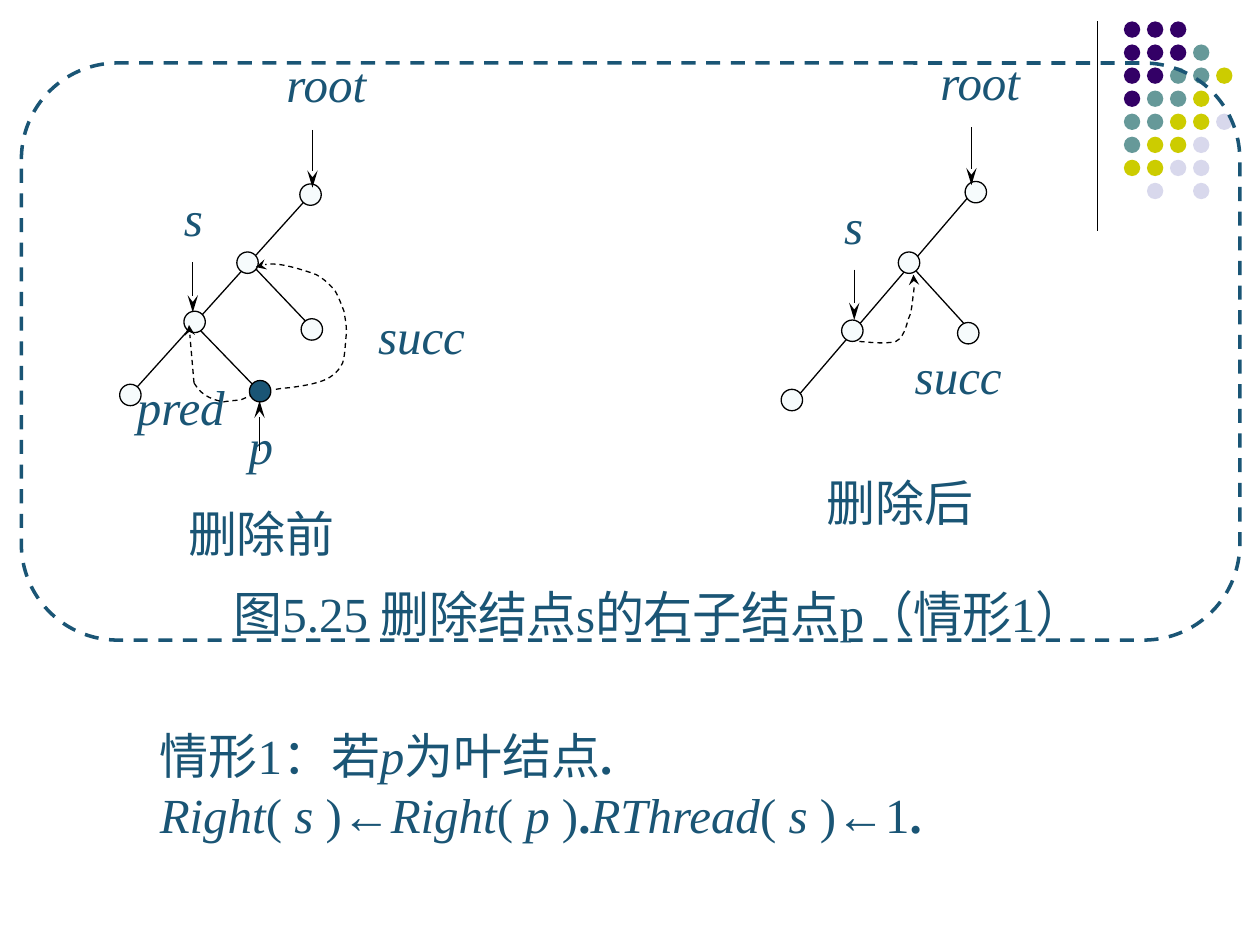
"""Build the slide on deleting a leaf node from a threaded binary tree."""
from lxml import etree
from pptx import Presentation
from pptx.dml.color import RGBColor
from pptx.enum import dml, shapes as kinds, text as styles
from pptx.oxml import ns
from pptx.util import Inches, Pt

THEME = {
    "ink": "1A5575", "line": "000000", "node": "F6FBFC",
    "dots": {"P": "330066", "T": "669999", "Y": "CCCC00", "L": "D8D8EC"},
    "font": "Times New Roman", "size": 28, "thin": 0.75, "frame": 2,
}
CENTER, JUSTIFY, LEFT = styles.PP_ALIGN.CENTER, styles.PP_ALIGN.JUSTIFY, styles.PP_ALIGN.LEFT

DOT_ROWS = ["PPP", "PPPT", "PPTTY", "PTTY", "TTYYL", "TYYL", "YYLL", " L L"]
DOT_START, DOT_STEP, DOT_SIZE = (8.92, 0.17), 0.183, 0.13
NODE_SIZE = 0.17

FRAME = (0.17, 0.5, 9.67, 4.58)
LABELS = [
    ("s", (1.34, 1.83, 0.39, 0.24), CENTER),
    ("root", (2.18, 0.77, 0.82, 0.24), CENTER),
    ("pred", (1, 3.33, 0.87, 0.25), CENTER),
    ("succ", (3, 2.77, 0.75, 0.26), JUSTIFY),
    ("p", (1.78, 3.64, 0.58, 0.25), CENTER),
    ("succ", (7.21, 3.08, 0.79, 0.22), CENTER),
    ("root", (7.4, 0.75, 0.76, 0.23), CENTER),
    ("s", (6.58, 1.89, 0.39, 0.24), CENTER),
]
CAPTIONS = [
    ("图5.25 删除结点s的右子结点p（情形1）", (1.23, 4.63, 8, 0.42), None),
    ("删除前", (1.35, 4, 1.45, 0.4), None),
    ("删除后", (6.42, 4.08, 1.45, 0.28), 10),
]
BRANCHES = [
    (1.53, 2.56, 2.11, 3.16), (2.45, 1.56, 1, 3.17), (1.95, 2.05, 2.53, 2.66),
    (7.68, 1.57, 6.25, 3.24), (7.27, 2.15, 7.68, 2.6),
]
POINTERS = [
    (1.53, 2.08, 1.53, 2.48), (2.48, 1.03, 2.48, 1.49), (2.06, 3.58, 2.06, 3.18),
    (7.71, 1.01, 7.71, 1.47), (6.78, 2.14, 6.78, 2.54),
]
PRED_THREAD = (1.54, 3.04, 1.5, 2.58)
NODES = [
    (2.39, 2.53), (0.95, 3.05), (1.46, 2.47), (1.88, 2), (2.38, 1.46),
    (7.66, 1.44), (7.6, 2.56), (6.2, 3.09), (6.68, 2.54), (7.13, 2),
]
DELETED_NODE = (1.98, 3.02)
THREADS = [
    ([(1.54, 3.04), (1.59, 3.12), (1.64, 3.16), (1.77, 3.19), (1.82, 3.18),
      (1.87, 3.18), (1.92, 3.17), (1.94, 3.16), (1.99, 3.14), (1.99, 3.14)], None),
    ([(2.19, 3.09), (2.24, 3.08), (2.29, 3.08), (2.35, 3.07), (2.42, 3.06),
      (2.53, 3.04), (2.59, 3.01), (2.65, 2.98), (2.69, 2.94), (2.72, 2.88),
      (2.74, 2.82), (2.74, 2.71), (2.75, 2.64), (2.75, 2.58), (2.74, 2.53),
      (2.73, 2.47), (2.71, 2.42), (2.69, 2.36), (2.66, 2.31), (2.62, 2.26),
      (2.58, 2.22), (2.51, 2.18), (2.43, 2.15), (2.3, 2.11), (2.22, 2.1),
      (2.14, 2.09), (2.07, 2.1), (2.03, 2.12)], "med"),
    ([(6.82, 2.71), (6.93, 2.72), (7.04, 2.73), (7.11, 2.71), (7.17, 2.68),
      (7.19, 2.6), (7.21, 2.53), (7.24, 2.47), (7.24, 2.39), (7.25, 2.33),
      (7.26, 2.27), (7.25, 2.2), (7.25, 2.18)], "med"),
]
CASE_BOX = (1.17, 5.71, 8.34, 1.04)
CASE_TEXT = [
    [("情形1：若", ""), ("p", "i"), ("为叶结点", ""), (".", "b")],
    [("Right", "i"), ("( ", ""), ("s", "i"), (" )←", ""), ("Right", "i"),
     ("( ", ""), ("p", "i"), (" )", ""), (".", "b"), ("RThread", "i"),
     ("( ", ""), ("s", "i"), (" )←1", ""), (".", "b")],
]


def color(value):
    return RGBColor.from_string(value)


def inches(values):
    return [Inches(value) for value in values]


def add_text(parent, paragraphs, box, align=LEFT, spacing=None, inset=True):
    frame = parent.add_textbox(*inches(box)).text_frame
    frame.word_wrap = True
    if not inset:
        frame.margin_left = frame.margin_top = frame.margin_right = frame.margin_bottom = 0
    for index, runs in enumerate(paragraphs):
        paragraph = frame.paragraphs[0] if index == 0 else frame.add_paragraph()
        paragraph.alignment = align
        if spacing:
            paragraph.line_spacing = Pt(spacing)
        for words, style in runs:
            run = paragraph.add_run()
            run.text = words
            run.font.name, run.font.size = THEME["font"], Pt(THEME["size"])
            run.font.color.rgb = color(THEME["ink"])
            run.font.italic, run.font.bold = style == "i", style == "b"


def format_line(shape, tint=THEME["line"], width=THEME["thin"], dashed=False, arrow=None):
    shape.line.color.rgb = color(tint)
    shape.line.width = Pt(width)
    if dashed:
        shape.line.dash_style = dml.MSO_LINE.DASH
    if arrow:
        outline = shape.element.spPr.find(ns.qn("a:ln"))
        etree.SubElement(outline, ns.qn("a:tailEnd"), type="stealth", len=arrow)


def add_line(parent, ends, **style):
    line = parent.add_connector(kinds.MSO_CONNECTOR.STRAIGHT, *inches(ends))
    format_line(line, **style)
    etree.SubElement(line.element.spPr, ns.qn("a:effectLst"))


def add_preset(parent, kind, box, fill=None):
    shape = parent.add_shape(kind, *inches(box))
    shape.shadow.inherit = False
    if fill:
        shape.fill.solid()
        shape.fill.fore_color.rgb = color(fill)
    else:
        shape.fill.background()
    return shape


def add_node(parent, place, fill=THEME["node"]):
    box = (*place, NODE_SIZE, NODE_SIZE)
    format_line(add_preset(parent, kinds.MSO_SHAPE.OVAL, box, fill))


def add_thread(parent, points, arrow, steps=6):
    curve = []
    for start in range(0, len(points) - 1, 3):
        for step in range(1, steps + 1):
            t = step / steps
            weights = ((1 - t) ** 3, 3 * t * (1 - t) ** 2, 3 * t * t * (1 - t), t ** 3)
            controls = points[start:start + 4]
            curve.append(inches(sum(w * point[axis] for w, point in zip(weights, controls))
                                for axis in (0, 1)))
    builder = parent.build_freeform(*inches(points[0]), scale=1.0)
    builder.add_line_segments(curve, close=False)
    thread = builder.convert_to_shape()
    thread.shadow.inherit = False
    thread.fill.background()
    format_line(thread, dashed=True, arrow=arrow)


presentation = Presentation()
presentation.slide_width, presentation.slide_height = Inches(10), Inches(7.5)
slide = presentation.slides.add_slide(presentation.slide_layouts[6])

add_line(slide.shapes, (8.71, 0.17, 8.71, 1.83))
dots = slide.shapes.add_group_shape().shapes
for row, letters in enumerate(DOT_ROWS):
    for column, letter in enumerate(letters):
        if letter != " ":
            box = (DOT_START[0] + column * DOT_STEP, DOT_START[1] + row * DOT_STEP,
                   DOT_SIZE, DOT_SIZE)
            dot = add_preset(dots, kinds.MSO_SHAPE.OVAL, box, THEME["dots"][letter])
            dot.line.fill.background()

figure = slide.shapes.add_group_shape().shapes
border = add_preset(figure, kinds.MSO_SHAPE.ROUNDED_RECTANGLE, FRAME)
format_line(border, THEME["ink"], THEME["frame"], dashed=True)
for words, box, spacing in CAPTIONS:
    add_text(figure, [[(words, "")]], box, align=CENTER, spacing=spacing, inset=False)
for words, box, align in LABELS:
    add_text(figure, [[(words, "i")]], box, align=align, spacing=9, inset=False)
for ends in BRANCHES:
    add_line(figure, ends)
for place in NODES:
    add_node(figure, place)
add_node(figure, DELETED_NODE, THEME["ink"])
for ends in POINTERS:
    add_line(figure, ends, arrow="lg")
add_line(figure, PRED_THREAD, dashed=True, arrow="med")
for points, arrow in THREADS:
    add_thread(figure, points, arrow)

add_text(slide.shapes, CASE_TEXT, CASE_BOX)
presentation.save("out.pptx")
